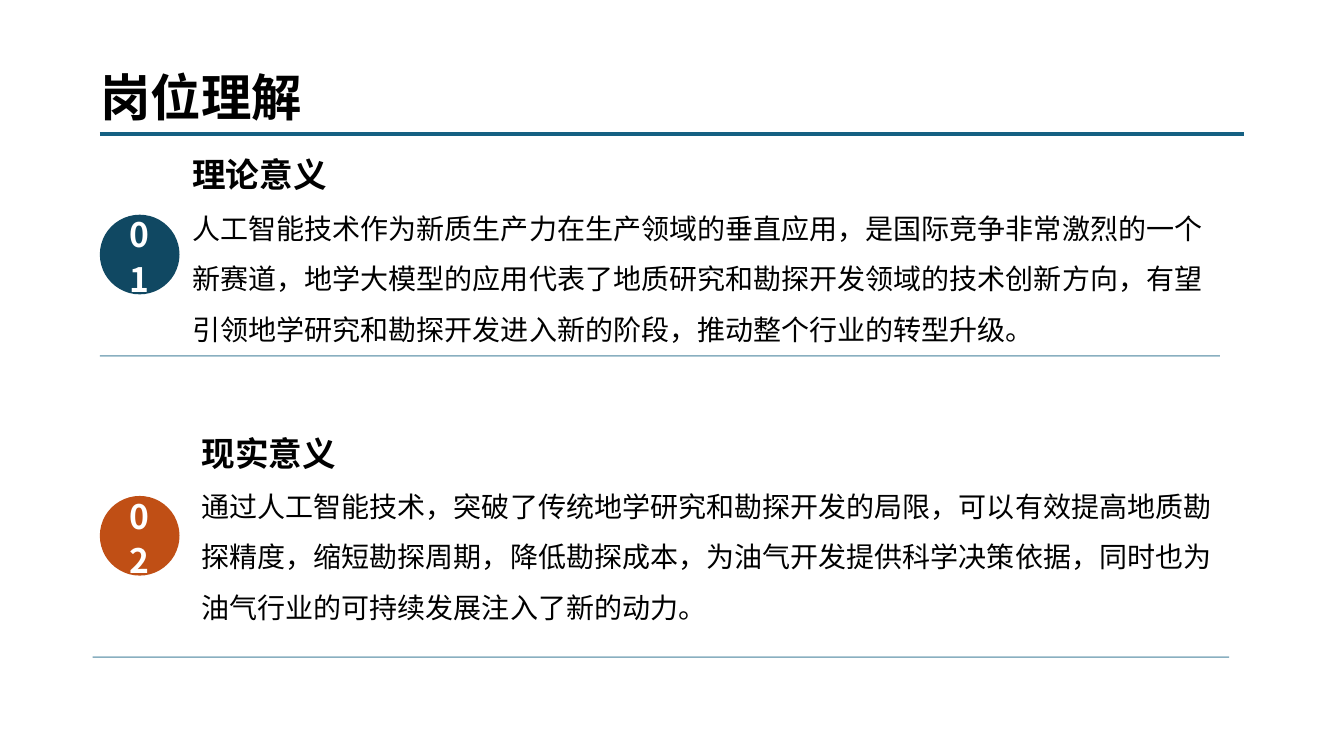
"""Build the slide on understanding the position, with two numbered sections."""
import pptx
import pptx.dml.color
import pptx.enum.shapes
import pptx.enum.text
import pptx.oxml.ns
import pptx.util
from lxml import etree

Inches = pptx.util.Inches
Pt = pptx.util.Pt
RGBColor = pptx.dml.color.RGBColor
qn = pptx.oxml.ns.qn
PP_ALIGN = pptx.enum.text.PP_ALIGN
MSO_ANCHOR = pptx.enum.text.MSO_ANCHOR
MSO_AUTO_SIZE = pptx.enum.text.MSO_AUTO_SIZE

FONT = "Noto Sans CJK SC"
COLORS = {
    "text": "000000",
    "white": "FFFFFF",
    "rule": "156082",
    "navy": "104862",
    "orange": "C04F15",
}


def add_run(paragraph, text, size, bold, color="text"):
    run = paragraph.add_run()
    run.text = text
    run.font.size = Pt(size)
    run.font.bold = bold
    run.font.name = FONT
    run.font.color.rgb = RGBColor.from_string(COLORS[color])
    etree.SubElement(run.font._element, qn("a:ea"), typeface=FONT)


def add_rule(left, right, top, width, opacity=100):
    rule = slide.shapes.add_connector(
        pptx.enum.shapes.MSO_CONNECTOR.STRAIGHT,
        Inches(left), Inches(top), Inches(right), Inches(top))
    rule.line.width = Pt(width)
    rule.line.color.rgb = RGBColor.from_string(COLORS["rule"])
    if opacity < 100:
        color = rule.line._ln.find(".//" + qn("a:srgbClr"))
        etree.SubElement(color, qn("a:alpha"), val=str(opacity * 1000))
    etree.SubElement(rule._element.spPr, qn("a:effectLst"))


presentation = pptx.Presentation()
presentation.slide_width = Inches(13.33)
presentation.slide_height = Inches(7.5)
slide = presentation.slides.add_slide(presentation.slide_layouts[6])

add_rule(0.99, 12.34, 1.33, 2.25)
title = slide.shapes.add_textbox(Inches(0), Inches(0.61), Inches(3.99), Inches(0.71))
title.text_frame.word_wrap = True
title.text_frame.auto_size = MSO_AUTO_SIZE.SHAPE_TO_FIT_TEXT
title_paragraph = title.text_frame.paragraphs[0]
title_paragraph.alignment = PP_ALIGN.CENTER
add_run(title_paragraph, "岗位理解", 36, True)

sections = [
    ("01", "navy", 2.13, (1.81, 1.31), (0.99, 12.1, 3.53), "理论意义",
     "人工智能技术作为新质生产力在生产领域的垂直应用，是国际竞争非常激烈的一个新赛道，"
     "地学大模型的应用代表了地质研究和勘探开发领域的技术创新方向，"
     "有望引领地学研究和勘探开发进入新的阶段，推动整个行业的转型升级。"),
    ("02", "orange", 4.92, (1.9, 4.07), (0.92, 12.19, 6.52), "现实意义",
     "通过人工智能技术，突破了传统地学研究和勘探开发的局限，可以有效提高地质勘探精度，"
     "缩短勘探周期，降低勘探成本，为油气开发提供科学决策依据，"
     "同时也为油气行业的可持续发展注入了新的动力。"),
]

for number, fill, badge_top, (left, top), rule, heading, body in sections:
    badge = slide.shapes.add_shape(
        pptx.enum.shapes.MSO_SHAPE.OVAL,
        Inches(0.99), Inches(badge_top), Inches(0.79), Inches(0.79))
    badge.shadow.inherit = False
    badge.fill.solid()
    badge.fill.fore_color.rgb = RGBColor.from_string(COLORS[fill])
    badge.line.fill.background()
    badge.text_frame.word_wrap = True
    badge.text_frame.vertical_anchor = MSO_ANCHOR.MIDDLE
    badge_paragraph = badge.text_frame.paragraphs[0]
    badge_paragraph.alignment = PP_ALIGN.CENTER
    badge_paragraph.line_spacing = 1.1
    add_run(badge_paragraph, number, 24, True, "white")

    text_box = slide.shapes.add_textbox(
        Inches(left), Inches(top), Inches(10.29), Inches(2.14))
    frame = text_box.text_frame
    frame.word_wrap = True
    frame.auto_size = MSO_AUTO_SIZE.SHAPE_TO_FIT_TEXT
    frame.vertical_anchor = MSO_ANCHOR.MIDDLE
    heading_paragraph = frame.paragraphs[0]
    heading_paragraph.line_spacing = 1.5
    add_run(heading_paragraph, heading, 24, True)
    body_paragraph = frame.add_paragraph()
    body_paragraph.line_spacing = 1.5
    add_run(body_paragraph, body, 20, False)

    add_rule(*rule, 1, opacity=50)

presentation.save("out.pptx")
